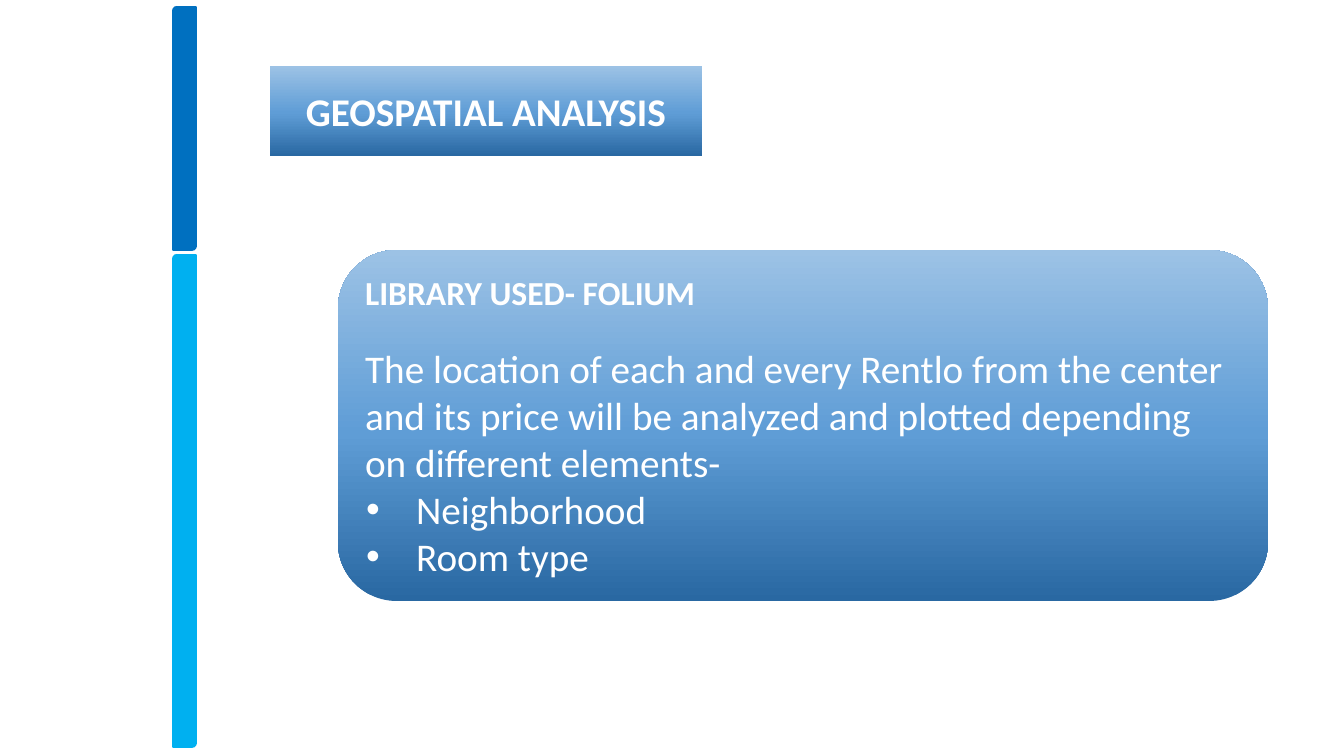
from copy import deepcopy

from lxml.etree import SubElement
from pptx import Presentation
from pptx.dml.color import RGBColor
from pptx.enum.shapes import MSO_SHAPE
from pptx.enum.text import MSO_ANCHOR, MSO_AUTO_SIZE, PP_ALIGN
from pptx.oxml.ns import qn
from pptx.util import Emu, Pt

FONT = "Calibri"
WHITE = RGBColor(0xFF, 0xFF, 0xFF)
BLUE = RGBColor(0x00, 0x70, 0xC0)
SKY = RGBColor(0x00, 0xB0, 0xF0)
GRADIENT = [
    (0, RGBColor(0x29, 0x68, 0xA2)),
    (0.48, RGBColor(0x5F, 0x9D, 0xD6)),
    (1, RGBColor(0x9C, 0xC2, 0xE5)),
]
CORNER = 0.167
INTRO = ("The location of each and every Rentlo from the center and its price "
         "will be analyzed and plotted depending on different elements-")


def px(n):
    return Emu(round(n * 914400 / 134.4))


def fill_gradient(sp):
    """Fill a shape with the three blues, dark at the bottom."""
    sp.fill.gradient()
    sp.fill.gradient_angle = 90
    stops = sp._element.spPr.find(".//" + qn("a:gsLst"))
    stops.append(deepcopy(stops[-1]))
    for stop, (position, color) in zip(sp.fill.gradient_stops, GRADIENT):
        stop.position = position
        stop.color.rgb = color
    sp.line.fill.background()


def set_frame(tf, anchor):
    tf.word_wrap = True
    tf.auto_size = MSO_AUTO_SIZE.NONE
    tf.vertical_anchor = anchor
    tf.margin_left = tf.margin_right = px(10)
    tf.margin_top = tf.margin_bottom = px(5)


def write(p, text, size, bold=False, align=PP_ALIGN.LEFT):
    p.text = text
    p.alignment = align
    p.line_spacing = 1.0
    font = p.runs[0].font
    font.name, font.size, font.bold = FONT, Pt(size), bold
    font.color.rgb = WHITE


def add_bullet(p):
    pPr = p._p.get_or_add_pPr()
    pPr.set("marL", str(px(51)))
    pPr.set("indent", str(px(-50)))
    SubElement(pPr, qn("a:buFont"), typeface="Arial")
    SubElement(pPr, qn("a:buChar"), char="•")


def add_bar(s, y, h, color):
    sp = s.shapes.add_shape(MSO_SHAPE.ROUND_2_DIAG_RECTANGLE,
                            px(173), px(y), px(23), px(h))
    sp.adjustments[0], sp.adjustments[1] = CORNER, 0
    sp.shadow.inherit = False
    sp.fill.solid()
    sp.fill.fore_color.rgb = color
    sp.line.color.rgb = color
    sp.line.width = Pt(1)


def add_title(s, text):
    sp = s.shapes.title
    sp.left, sp.top, sp.width, sp.height = px(270), px(66), px(432), px(90)
    geom = SubElement(sp._element.spPr, qn("a:prstGeom"), prst="roundRect")
    guides = SubElement(geom, qn("a:avLst"))
    SubElement(guides, qn("a:gd"), name="adj", fmla="val 16700")
    fill_gradient(sp)
    set_frame(sp.text_frame, MSO_ANCHOR.MIDDLE)
    write(sp.text_frame.paragraphs[0], text, 21, True, PP_ALIGN.CENTER)


def add_panel(s, heading, intro, items):
    sp = s.shapes.add_shape(MSO_SHAPE.ROUNDED_RECTANGLE,
                            px(338), px(250), px(930), px(351))
    sp.adjustments[0] = CORNER
    sp.shadow.inherit = False
    fill_gradient(sp)
    tf = sp.text_frame
    set_frame(tf, MSO_ANCHOR.TOP)
    write(tf.paragraphs[0], heading, 18, True)
    p = tf.add_paragraph()
    write(p, intro, 21)
    p.space_before = Pt(17)
    for item in items:
        p = tf.add_paragraph()
        write(p, item, 21)
        add_bullet(p)


def main():
    prs = Presentation()
    prs.slide_width, prs.slide_height = px(1344), px(756)
    s = prs.slides.add_slide(prs.slide_layouts[5])

    # Side bars
    add_bar(s, 7, 243, BLUE)
    add_bar(s, 255, 492, SKY)

    # Title and text panel
    add_title(s, "GEOSPATIAL ANALYSIS")
    add_panel(s, "LIBRARY USED- FOLIUM", INTRO, ["Neighborhood", "Room type"])

    prs.save("out.pptx")


if __name__ == "__main__":
    main()
